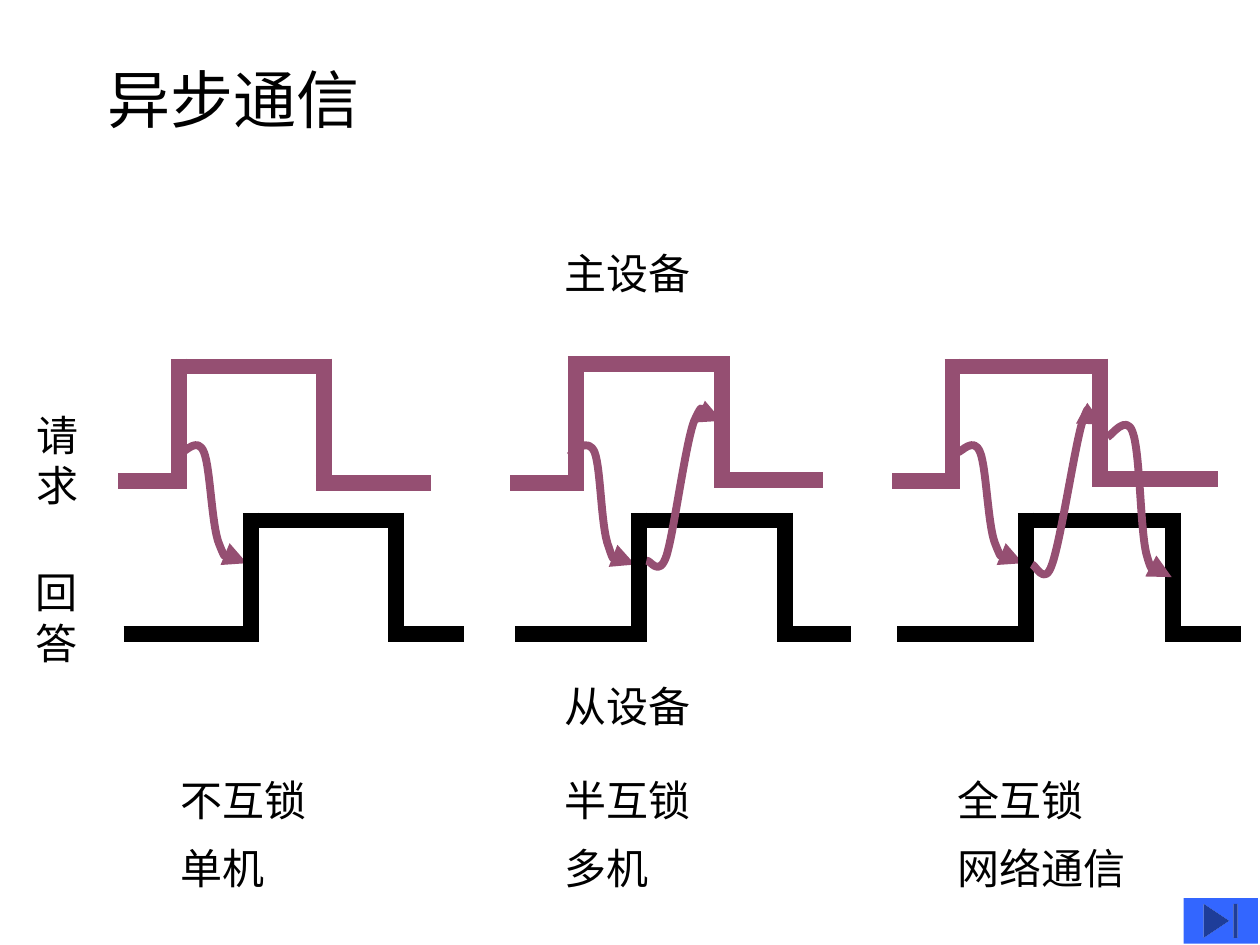
from dataclasses import dataclass

from lxml import etree
from pptx import Presentation
from pptx import util as u
from pptx.dml.color import RGBColor
from pptx.enum import shapes, text
from pptx.oxml.ns import qn

BLACK = RGBColor(0x00, 0x00, 0x00)
MAUVE = RGBColor(0x95, 0x4F, 0x72)
BLUE = RGBColor(0x33, 0x66, 0xFF)
FONT = "Times New Roman"
PULSE_WIDTH = 9
CURVE_WIDTH = 4.5

Point = tuple[float, float]


@dataclass
class Label:
    words: str
    left: float
    top: float
    width: float
    height: float = 36
    wrap: bool = True


@dataclass
class Pulse:
    """A square signal: low, rising edge, high, falling edge, low."""
    start: float
    rise: float
    fall: float
    end: float
    high: float = 297.4
    low_before: float = 362.2
    low_after: float = 362.2


@dataclass
class Handshake:
    request: Pulse
    reply: Pulse
    request_curve: list[Point]
    later_curves: list[list[Point]]


def format_text(shape, label: Label, size: float) -> None:
    shape.left, shape.top = u.Pt(label.left), u.Pt(label.top)
    shape.width, shape.height = u.Pt(label.width), u.Pt(label.height)
    frame = shape.text_frame
    frame.text = label.words
    frame.word_wrap = label.wrap
    frame.auto_size = text.MSO_AUTO_SIZE.SHAPE_TO_FIT_TEXT
    frame.vertical_anchor = text.MSO_ANCHOR.TOP
    for paragraph in frame.paragraphs:
        paragraph.alignment = text.PP_ALIGN.LEFT
        paragraph.font.size = u.Pt(size)
        paragraph.font.name = FONT
        paragraph.font.color.rgb = BLACK


def draw_line(slide, start: Point, end: Point, color: RGBColor) -> None:
    line = slide.shapes.add_connector(
        shapes.MSO_CONNECTOR.STRAIGHT, *(u.Pt(value) for value in start + end))
    line.line.color.rgb = color
    line.line.width = u.Pt(PULSE_WIDTH)
    etree.SubElement(line._element.spPr, qn("a:effectLst"))


def draw_pulse(slide, pulse: Pulse, color: RGBColor) -> None:
    half = PULSE_WIDTH / 2  # overlap that squares off the corners
    rise, fall, high = pulse.rise, pulse.fall, pulse.high
    before, after = pulse.low_before, pulse.low_after
    for start, end in (
        ((pulse.start, before), (rise + half, before)),
        ((rise, high - half), (rise, before + half)),
        ((rise - half, high), (fall + half, high)),
        ((fall, high - half), (fall, after + half)),
        ((fall - half, after), (pulse.end, after)),
    ):
        draw_line(slide, start, end, color)


def draw_curve(slide, points: list[Point]) -> None:
    """Draw an arrow through a start point and triples of Bezier points."""
    places = [(u.Pt(x), u.Pt(y)) for x, y in points]
    builder = slide.shapes.build_freeform(*places[0])
    builder.add_line_segments(places[1:], close=False)
    curve = builder.convert_to_shape()
    curve.shadow.inherit = False
    curve.fill.background()
    curve.line.color.rgb = MAUVE
    curve.line.width = u.Pt(CURVE_WIDTH)
    etree.SubElement(curve.line._get_or_add_ln(), qn("a:tailEnd"), type="triangle")

    # Join every three line segments into one cubic segment
    path = next(curve._element.iter(qn("a:path")))
    segments = path.findall(qn("a:lnTo"))
    for first in range(0, len(segments), 3):
        cubic = etree.SubElement(path, qn("a:cubicBezTo"))
        for segment in segments[first:first + 3]:
            cubic.append(segment[0])
            path.remove(segment)


def shift(points: list[Point], distance: float) -> list[Point]:
    return [(x + distance, y) for x, y in points]


REQUEST_CURVE = [
    (103.7, 258.5), (105.8, 258.5), (113, 249.1), (116.6, 258.5),
    (120.2, 267.1), (121, 301), (125.3, 311),
    (129.6, 321.8), (137.5, 319.7), (141.1, 321.8)]
HALF_REQUEST_CURVE = [
    (325.4, 260.6), (326.2, 259.9), (330.5, 257), (331.2, 257),
    (331.2, 256.3), (325.4, 257), (326.9, 257.8),
    (328.3, 257.8), (336.2, 249.8), (339.8, 258.5),
    (343.4, 267.8), (343.4, 301.7), (347.8, 312.5),
    (351.4, 323.3), (360, 321.1), (362.9, 322.6)]
HALF_REPLY_CURVE = [
    (369.4, 320.4), (371.5, 319.7), (376.6, 330.5), (380.9, 317.5),
    (385.2, 303.8), (391.7, 253.4), (396.7, 240.5),
    (402.5, 228.2), (410.4, 240.5), (412.6, 240.5)]
FULL_REPLY_CURVE = [
    (589.7, 322.6), (591.8, 322.6), (596.9, 335.5), (601.2, 322.6),
    (606.2, 308.9), (614.2, 254.9), (618.5, 241.2),
    (623.5, 228.2), (627.8, 241.9), (630, 242.6)]
RELEASE_CURVE = [
    (632.9, 249.8), (635, 249.1), (643.7, 236.2), (647.3, 247),
    (651.6, 258.5), (651.6, 303.1), (655.2, 316.8),
    (658.8, 329.8), (667.4, 324.7), (669.6, 326.9),
    (671.8, 329), (669.6, 329), (669.6, 329.8)]

HANDSHAKES = [
    Handshake(Pulse(67.7, 102.2, 185, 246.2, 209.5, 275, 275.8),
              Pulse(70.6, 143.3, 226.5, 265), REQUEST_CURVE, []),
    Handshake(Pulse(291.6, 329, 412.6, 470.2, 208.1, 275.8, 274.3),
              Pulse(294.5, 365, 448.6, 486),
              HALF_REQUEST_CURVE, [HALF_REPLY_CURVE]),
    Handshake(Pulse(509.8, 544.3, 628.6, 696.2, 209.5, 275, 273.6),
              Pulse(512.6, 586.1, 670.3, 709.2),
              shift(REQUEST_CURVE, 443.5), [FULL_REPLY_CURVE, RELEASE_CURVE]),
]

COLUMNS = [(95.8, "不互锁", "单机"), (315.4, "半互锁", "多机"),
           (540, "全互锁", "网络通信")]
LABELS = [
    Label("主设备", 315.4, 138.2, 182),
    Label("从设备", 315.4, 385.2, 212),
    Label("请\n求", 13.7, 230.4, 38.9, 64.8, wrap=False),
    Label("回\n答", 13, 320.4, 38.9, 64.8, wrap=False),
]
for left, locking, usage in COLUMNS:
    LABELS += [Label(locking, left, 439.2, 120), Label(usage, left, 478.1, 120)]


def main() -> None:
    presentation = Presentation()
    presentation.slide_width, presentation.slide_height = u.Pt(720), u.Pt(540)
    slide = presentation.slides.add_slide(presentation.slide_layouts[5])

    # Title and labels
    format_text(slide.shapes.title, Label("异步通信", 54, 31, 221, 50.4), 36)
    for label in LABELS:
        box = slide.shapes.add_textbox(0, 0, 0, 0)
        format_text(box, label, 24)

    # Timing diagrams
    for handshake in HANDSHAKES:
        draw_pulse(slide, handshake.request, MAUVE)
        draw_curve(slide, handshake.request_curve)
        draw_pulse(slide, handshake.reply, BLACK)
        for curve in handshake.later_curves:
            draw_curve(slide, curve)

    # Button to the last slide
    button = slide.shapes.add_shape(
        shapes.MSO_SHAPE.ACTION_BUTTON_END,
        u.Pt(676.3), u.Pt(513.2), u.Pt(42.5), u.Pt(26))
    button.shadow.inherit = False
    button.fill.solid()
    button.fill.fore_color.rgb = BLUE
    button.line.fill.background()

    presentation.save("out.pptx")


if __name__ == "__main__":
    main()
